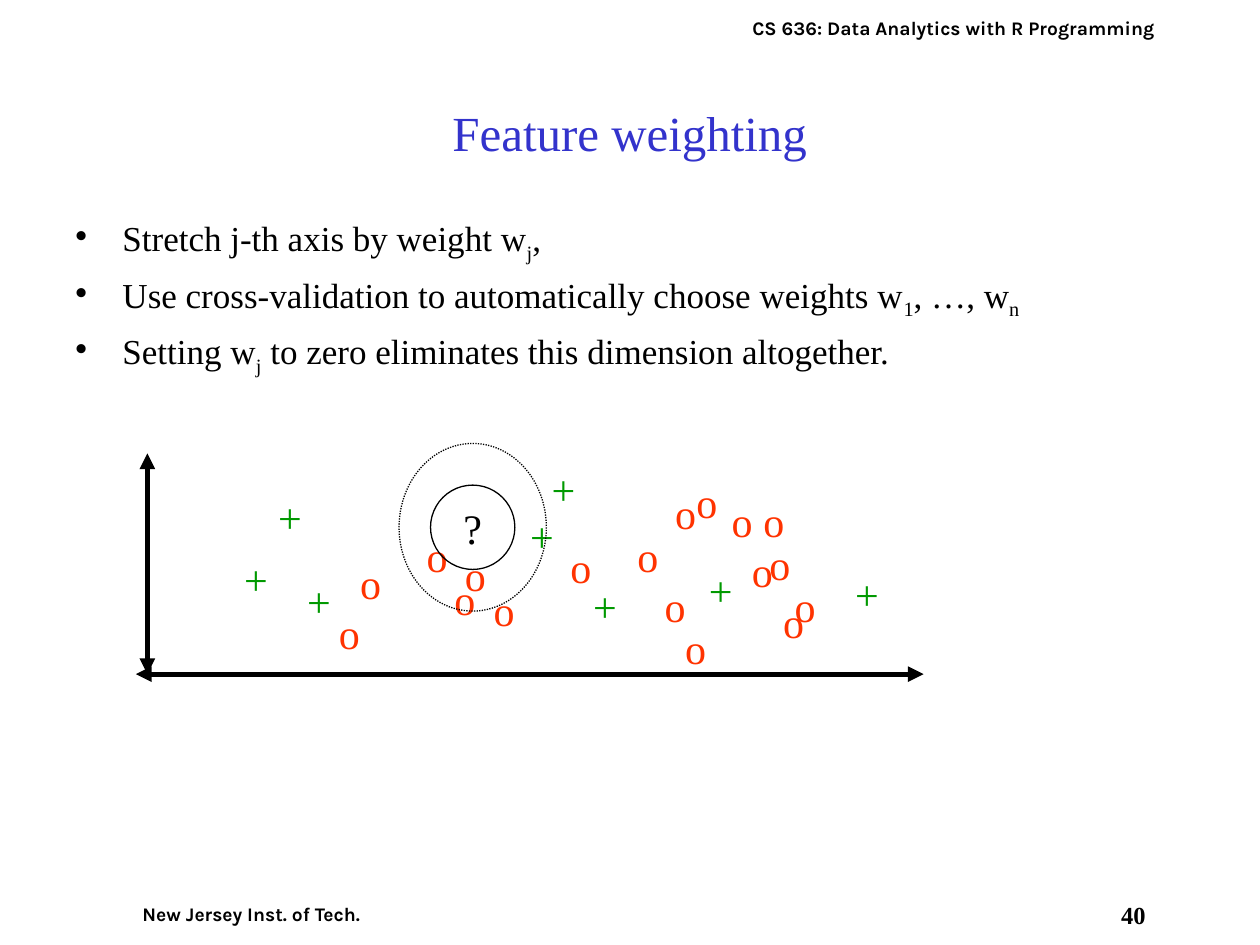
from lxml import etree
from pptx import Presentation, util as u
from pptx.dml.color import RGBColor
from pptx.enum import dml, shapes, text
from pptx.oxml import ns

COLORS = {"ink": "000000", "title": "3333CC", "plus": "009900", "circle": "FF3300"}
SERIF, SANS = "Times New Roman", "Karla"

# Each bullet alternates between normal text and subscript.
BULLETS = [
    ["Stretch j-th axis by weight w", "j", ","],
    ["Use cross-validation to automatically choose weights w", "1", ", …, w", "n"],
    ["Setting w", "j", " to zero eliminates this dimension altogether."],
]
# Top left corners of the marks in cm, from the corner of the plot.
PLUSES = [(1.93, 2.08), (2.62, 0.84), (3.2, 2.54), (7.7, 1.22),
          (8.13, 0.28), (8.97, 2.64), (11.3, 2.31), (14.25, 2.39)]
CIRCLES = [(3.84, 3.18), (4.27, 2.16), (5.61, 1.63), (9.86, 1.63), (10.41, 2.64),
           (10.62, 0.76), (13.03, 2.64), (12.8, 2.95), (12.52, 1.78), (11.76, 0.91),
           (6.17, 2.49), (8.51, 1.85), (6.38, 2.01), (6.96, 2.72), (10.82, 3.48),
           (11.05, 0.53), (12.17, 1.93), (12.4, 0.91)]


def rgb(name):
    return RGBColor.from_string(COLORS[name])


def style(run, size, color="ink", font=SERIF, bold=False):
    run.font.size, run.font.name, run.font.bold = u.Pt(size), font, bold
    run.font.color.rgb = rgb(color)


def add_label(slide, box, words, size, color="ink", font=SERIF, bold=False,
              align=text.PP_ALIGN.CENTER, wrap=True, margins=(0.25, 0.13)):
    label = slide.shapes.add_textbox(*map(u.Cm, box))
    frame = label.text_frame
    frame.word_wrap = wrap
    frame.margin_left = frame.margin_right = u.Cm(margins[0])
    frame.margin_top = frame.margin_bottom = u.Cm(margins[1])
    frame.text = words
    frame.paragraphs[0].alignment = align
    style(frame.paragraphs[0].runs[0], size, color, font, bold)
    return frame


def add_running_lines(slide):
    """Course name above; institution and page number below."""
    for box, words in [((14.68, 0.2, 9.09, 0.74), "CS 636: Data Analytics with R Programming"),
                       ((2.11, 18.06, 5.92, 0.74), "New Jersey Inst. of Tech.")]:
        add_label(slide, box, words, 11, font=SANS, bold=True, margins=(0.13, 0.13))
    add_label(slide, (22.43, 18.14, 0.84, 0.91), "40", 14, bold=True, margins=(0, 0))


def add_title(slide, box):
    frame = add_label(slide, box, "Feature weighting", 28, "title")
    frame.vertical_anchor = text.MSO_ANCHOR.MIDDLE


def add_bullets(slide, box):
    frame = slide.shapes.add_textbox(*map(u.Cm, box)).text_frame
    frame.word_wrap = True
    for index, pieces in enumerate(BULLETS):
        paragraph = frame.add_paragraph() if index else frame.paragraphs[0]
        properties = paragraph._p.get_or_add_pPr()
        properties.set("marL", str(u.Cm(0.95)))
        properties.set("indent", str(-u.Cm(0.95)))
        etree.SubElement(properties, ns.qn("a:buChar")).set("char", "•")
        if index:
            paragraph.space_before = u.Pt(5)
        for position, piece in enumerate(pieces):
            run = paragraph.add_run()
            run.text = piece
            style(run, 20)
            if position % 2:
                run.font._element.set("baseline", "-25000")


def add_axis(slide, start, end):
    axis = slide.shapes.add_connector(shapes.MSO_CONNECTOR.STRAIGHT,
                                      *map(u.Cm, (*start, *end)))
    axis.line.width = u.Pt(3)
    axis.line.color.rgb = rgb("ink")
    line = axis.line._get_or_add_ln()
    for tip in ("a:headEnd", "a:tailEnd"):
        etree.SubElement(line, ns.qn(tip)).set("type", "triangle")
    etree.SubElement(axis._element.spPr, ns.qn("a:effectLst"))


def add_ring(slide, center, width, height):
    left, top = center[0] - width / 2, center[1] - height / 2
    ring = slide.shapes.add_shape(shapes.MSO_SHAPE.OVAL,
                                  *map(u.Cm, (left, top, width, height)))
    ring.shadow.inherit = False
    ring.fill.background()
    ring.line.color.rgb = rgb("ink")
    ring.line.width = u.Pt(0.75)
    return ring


def add_plot(slide, box):
    left, top, width, height = box
    floor = top + height
    add_axis(slide, (left, floor), (left + width, floor))
    for sign, color, size, places in [("+", "plus", 0.99, PLUSES),
                                      ("o", "circle", 0.91, CIRCLES)]:
        for x, y in places:
            add_label(slide, (left + x, top + y, size, 1.27), sign, 24, color,
                      align=text.PP_ALIGN.LEFT, wrap=False)
    add_axis(slide, (left + 0.23, floor), (left + 0.23, top + 0.2))

    center = (left + 6.79, top + 1.69)
    query = add_ring(slide, center, 1.7, 1.7).text_frame
    query.word_wrap = False
    query.text = "?"
    query.vertical_anchor = text.MSO_ANCHOR.MIDDLE
    query.paragraphs[0].alignment = text.PP_ALIGN.CENTER
    style(query.paragraphs[0].runs[0], 24)
    stretched = add_ring(slide, center, 2.97, 3.38)
    stretched.line.dash_style = dml.MSO_LINE.ROUND_DOT


def main():
    deck = Presentation()
    deck.slide_width, deck.slide_height = u.Cm(25.4), u.Cm(19.05)
    slide = deck.slides.add_slide(deck.slide_layouts[6])
    add_running_lines(slide)
    add_title(slide, (1.9, 1.07, 21.59, 3.18))
    add_bullets(slide, (1.27, 4.24, 22.86, 13.97))
    add_plot(slide, (2.74, 8.94, 15.88, 4.65))
    deck.save("out.pptx")


if __name__ == "__main__":
    main()
